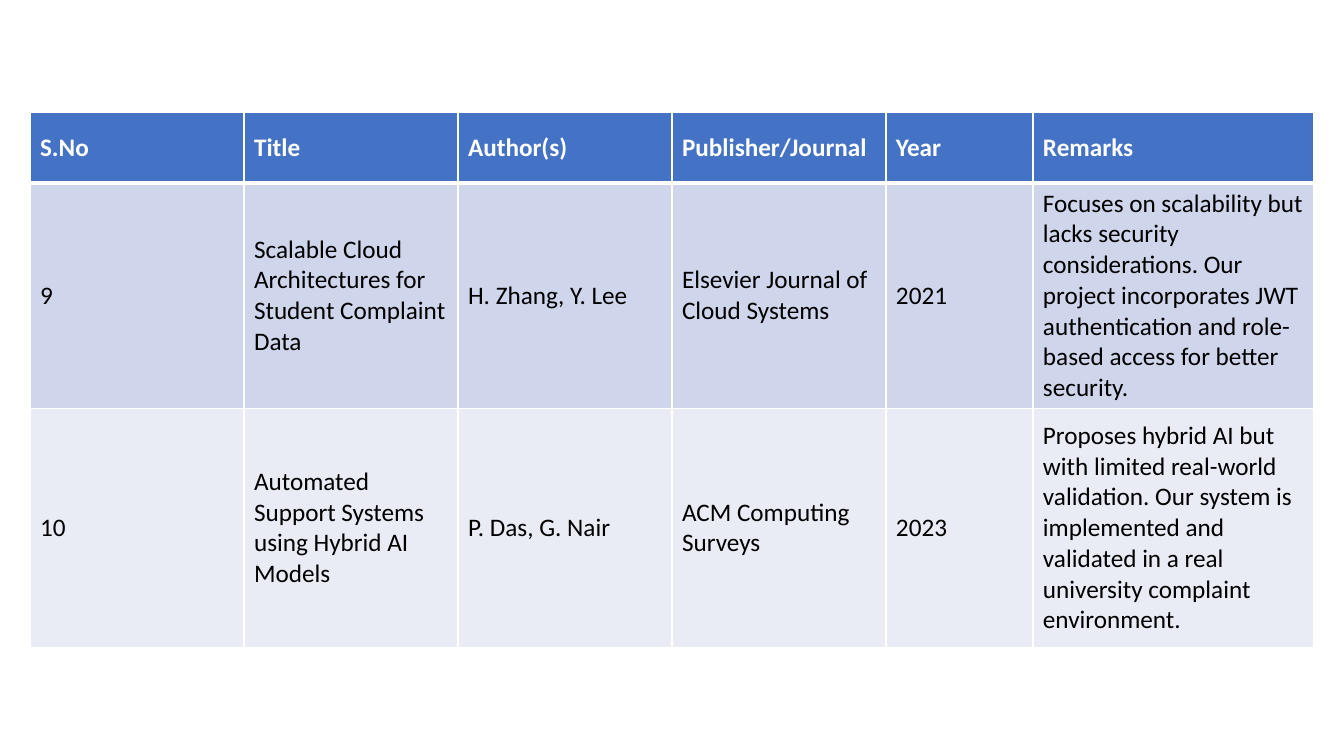
from lxml import etree
from pptx import Presentation
from pptx.dml.color import RGBColor
from pptx.enum.text import MSO_ANCHOR
from pptx.oxml.ns import qn
from pptx.util import Pt

MIDDLE = MSO_ANCHOR.MIDDLE
PX = 914400 / 100.8


def px(n):
    """Turn px into EMU."""
    return round(n * PX)


def edge(cell, side, width):
    """Draw a white border on one side; call before the fill is set."""
    props = cell._tc.get_or_add_tcPr()
    line = etree.SubElement(props, qn("a:ln" + side), w=str(Pt(width)))
    fill = etree.SubElement(line, qn("a:solidFill"))
    etree.SubElement(fill, qn("a:srgbClr"), val="FFFFFF")


rows = [
    ["S.No", "Title", "Author(s)", "Publisher/Journal", "Year", "Remarks"],
    ["9", "Scalable Cloud Architectures for Student Complaint Data",
     "H. Zhang, Y. Lee", "Elsevier Journal of Cloud Systems", "2021",
     "Focuses on scalability but lacks security considerations. Our project "
     "incorporates JWT authentication and role-based access for better security."],
    ["10", "Automated Support Systems using Hybrid AI Models",
     "P. Das, G. Nair", "ACM Computing Surveys", "2023",
     "Proposes hybrid AI but with limited real-world validation. Our system is "
     "implemented and validated in a real university complaint environment."],
]
widths = [214, 214, 214, 214, 147, 281]
heights = [71, 210, 239]
fills = ["4472C4", "CFD5EA", "E9EBF5"]

deck = Presentation()
deck.slide_width, deck.slide_height = px(1344), px(756)
slide = deck.slides.add_slide(deck.slide_layouts[6])

table = slide.shapes.add_table(
    len(rows), len(widths), px(30), px(112), px(sum(widths)), px(sum(heights))
).table
for col, width in zip(table.columns, widths):
    col.width = px(width)

for r, texts in enumerate(rows):
    table.rows[r].height = px(heights[r])
    head = r == 0
    for c, text in enumerate(texts):
        cell = table.cell(r, c)
        edge(cell, "L", 1)
        edge(cell, "R", 1)
        edge(cell, "T", 3 if r == 1 else 1)
        edge(cell, "B", 3 if head else 1)
        cell.fill.solid()
        cell.fill.fore_color.rgb = RGBColor.from_string(fills[r])
        cell.vertical_anchor = MIDDLE
        run = cell.text_frame.paragraphs[0].add_run()
        run.text = text
        run.font.name = "Calibri"
        run.font.size = Pt(18)
        run.font.bold = head
        run.font.color.rgb = RGBColor.from_string("FFFFFF" if head else "000000")

deck.save("out.pptx")
